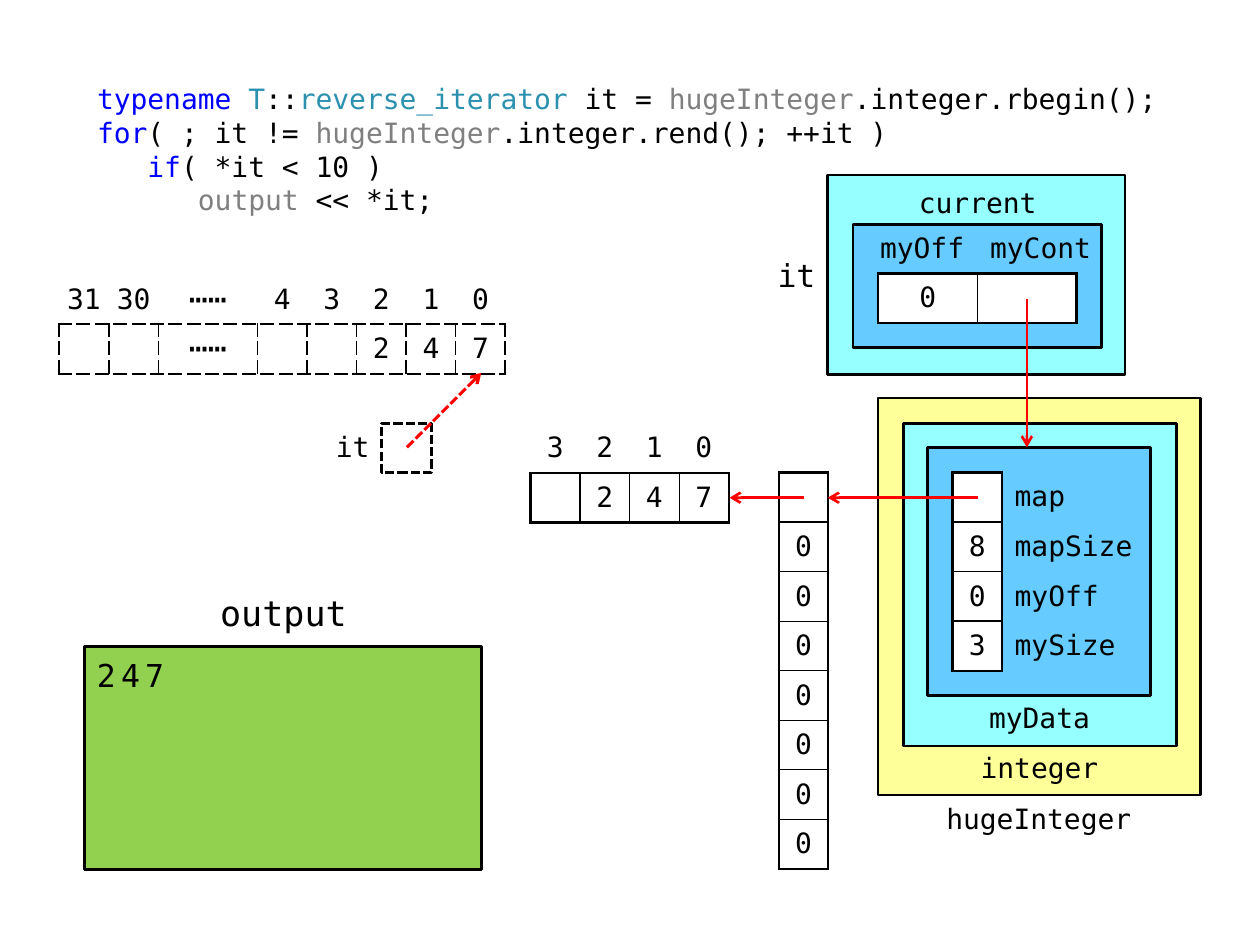
from dataclasses import dataclass
from typing import Optional

from lxml import etree
from pptx import Presentation
from pptx.dml.color import RGBColor
from pptx.enum.dml import MSO_LINE
from pptx.enum.shapes import MSO_CONNECTOR, MSO_SHAPE
from pptx.enum.text import MSO_ANCHOR, MSO_AUTO_SIZE, PP_ALIGN
from pptx.oxml.ns import qn
from pptx.util import Inches, Pt

FONT = "DejaVu Sans Mono"
BLACK = RGBColor(0, 0, 0)
WHITE = RGBColor(255, 255, 255)
RED = RGBColor(255, 0, 0)
YELLOW = RGBColor(0xFF, 0xFF, 0x99)
CYAN = RGBColor(0x96, 0xFF, 0xFF)
SKY = RGBColor(0x66, 0xCC, 0xFF)
GREEN = RGBColor(0x92, 0xD0, 0x50)
KEYWORD = RGBColor(0, 0, 255)
TYPE_NAME = RGBColor(0x2B, 0x91, 0xAF)
VARIABLE = RGBColor(0x80, 0x80, 0x80)

LEFT, CENTER, RIGHT = PP_ALIGN.LEFT, PP_ALIGN.CENTER, PP_ALIGN.RIGHT
TOP, MIDDLE, BOTTOM = MSO_ANCHOR.TOP, MSO_ANCHOR.MIDDLE, MSO_ANCHOR.BOTTOM
PROCESS, SQUARE = MSO_SHAPE.FLOWCHART_PROCESS, MSO_SHAPE.RECTANGLE
DASH = MSO_LINE.SQUARE_DOT
CELL = 1 / 2.54  # side of one memory cell, in inches
NO_GRID_STYLE = "{2D5ABB26-0587-4C30-8999-92F81FD0307C}"
DOTS = "⋯⋯"


@dataclass
class Label:
    text: str
    left: float
    top: float
    width: float
    align: PP_ALIGN = CENTER
    anchor: MSO_ANCHOR = TOP
    size: int = 16
    height: float = CELL
    margins: tuple = (0.08, 0.04, 0.08, 0)


@dataclass
class Memory:
    """A table whose boxed cells start at the given row and end at the given column."""
    left: float
    top: float
    rows: list
    widths: list  # in cells
    inner: float = 0.75
    first_boxed_row: int = 0
    boxed_columns: int = 8
    fill: Optional[RGBColor] = WHITE
    dash: str = "solid"

    def boxed(self, row: int, column: int) -> bool:
        return (self.first_boxed_row <= row < len(self.rows)
                and 0 <= column < min(self.boxed_columns, len(self.widths)))


# Code lines as (text, colour) pieces
CODE = [
    [("typename ", KEYWORD), ("T", TYPE_NAME), ("::", BLACK), ("reverse_iterator ", TYPE_NAME),
     ("it = ", BLACK), ("hugeInteger", VARIABLE), (".integer.rbegin();", BLACK)],
    [("for", KEYWORD), ("( ; it != ", BLACK), ("hugeInteger", VARIABLE),
     (".integer.rend(); ++it )", BLACK)],
    [("   ", BLACK), ("if", KEYWORD), ("( *it < 10 )", BLACK)],
    [("      ", BLACK), ("output ", VARIABLE), ("<< *it;", BLACK)],
]


def style_run(run, size: int, color: RGBColor = BLACK, spacing: float = 0) -> None:
    run.font.name, run.font.size = FONT, Pt(size)
    run.font.color.rgb = color
    if spacing:
        run._r.get_or_add_rPr().set("spc", str(int(spacing * 100)))


def set_margins(target, margins: tuple) -> None:
    (target.margin_left, target.margin_top,
     target.margin_right, target.margin_bottom) = map(Inches, margins)


def add_box(slide, left, top, width, height, fill, kind=PROCESS, weight=1.5):
    box = slide.shapes.add_shape(kind, *map(Inches, (left, top, width, height)))
    box.shadow.inherit = False
    box.fill.solid()
    box.fill.fore_color.rgb = fill
    box.line.color.rgb, box.line.width = BLACK, Pt(weight)
    return box


def add_label(slide, label: Label) -> None:
    box = slide.shapes.add_textbox(
        *map(Inches, (label.left, label.top, label.width, label.height)))
    frame = box.text_frame
    frame.word_wrap, frame.vertical_anchor = True, label.anchor
    set_margins(frame, label.margins)
    frame.text = label.text
    frame.paragraphs[0].alignment = label.align
    style_run(frame.paragraphs[0].runs[0], label.size)


def add_arrow(slide, start: tuple, end: tuple, weight=1.5, dash=None) -> None:
    arrow = slide.shapes.add_connector(MSO_CONNECTOR.STRAIGHT, *map(Inches, start + end))
    arrow.line.color.rgb, arrow.line.width = RED, Pt(weight)
    if dash:
        arrow.line.dash_style = dash
    etree.SubElement(arrow.line._get_or_add_ln(), qn("a:tailEnd"), type="arrow")
    etree.SubElement(arrow._element.spPr, qn("a:effectLst"))


def add_border(cell, side: str, weight: float, dash: str) -> None:
    line = etree.SubElement(cell._tc.get_or_add_tcPr(), qn(f"a:ln{side}"), w=str(Pt(weight)))
    if not weight:
        etree.SubElement(line, qn("a:noFill"))
        return
    paint = etree.SubElement(line, qn("a:solidFill"))
    etree.SubElement(paint, qn("a:srgbClr"), val=str(BLACK))
    etree.SubElement(line, qn("a:prstDash"), val=dash)


def add_memory(slide, memory: Memory) -> None:
    rows, widths = memory.rows, memory.widths
    frame = slide.shapes.add_table(
        len(rows), len(widths), Inches(memory.left), Inches(memory.top),
        Inches(sum(widths) * CELL), Inches(len(rows) * CELL))
    table = frame.table
    table.first_row = table.horz_banding = False
    table._tbl.tblPr.find(qn("a:tableStyleId")).text = NO_GRID_STYLE
    for column, width in zip(table.columns, widths):
        column.width = Inches(width * CELL)
    for r, texts in enumerate(rows):
        table.rows[r].height = Inches(CELL)
        for c, text in enumerate(texts):
            cell, boxed = table.cell(r, c), memory.boxed(r, c)
            beside_values = c >= memory.boxed_columns
            set_margins(cell, (0.1 if beside_values else 0.04, 0.04, 0.04, 0.04))
            cell.vertical_anchor = MIDDLE
            # Thick edge around the boxed cells, thin edge between them
            for side, dr, dc in (("L", 0, -1), ("R", 0, 1), ("T", -1, 0), ("B", 1, 0)):
                count = boxed + memory.boxed(r + dr, c + dc)
                add_border(cell, side, (0, 1.5, memory.inner)[count], memory.dash)
            if boxed and memory.fill is not None:
                cell.fill.solid()
                cell.fill.fore_color.rgb = memory.fill
            else:
                cell.fill.background()
            cell.text = text
            paragraph = cell.text_frame.paragraphs[0]
            paragraph.alignment = LEFT if beside_values else CENTER
            for run in paragraph.runs:
                style_run(run, 18 if text == DOTS else 16)


def add_code(slide) -> None:
    slide.shapes.title._element.getparent().remove(slide.shapes.title._element)
    code = slide.placeholders[1]
    code.left, code.top, code.width, code.height = map(Inches, (0.67, 0.6, 8.66, 1.18))
    frame = code.text_frame
    frame.auto_size, frame.vertical_anchor = MSO_AUTO_SIZE.NONE, TOP
    set_margins(frame, (0.1, 0.05, 0.1, 0.05))
    for index, pieces in enumerate(CODE):
        paragraph = frame.add_paragraph() if index else frame.paragraphs[0]
        properties = paragraph._p.get_or_add_pPr()
        properties.set("marL", "0")
        properties.set("indent", "0")
        etree.SubElement(properties, qn("a:buNone"))
        paragraph.space_before, paragraph.line_spacing = Pt(0), Pt(19.2)
        for text, color in pieces:
            run = paragraph.add_run()
            run.text = text
            style_run(run, 16, color)


def main() -> None:
    deck = Presentation()
    deck.slide_width, deck.slide_height = Inches(10), Inches(7.5)
    slide = deck.slides.add_slide(deck.slide_layouts[1])
    add_code(slide)

    # Nested objects: hugeInteger on the right, the iterator above it
    for box in ((6.97, 3.16, 2.56, 3.15, YELLOW), (7.17, 3.36, 2.17, 2.56, CYAN),
                (7.36, 3.55, 1.77, 1.97, SKY), (6.57, 1.39, 2.36, 1.58, CYAN),
                (6.77, 1.78, 1.97, 0.98, SKY)):
        add_box(slide, *box)

    # Output console
    console = add_box(slide, 0.67, 5.13, 3.15, 1.77, GREEN).text_frame
    console.vertical_anchor = TOP
    set_margins(console, (0.1, 0.08, 0.1, 0.05))
    console.text = "247"
    console.paragraphs[0].alignment = LEFT
    style_run(console.paragraphs[0].runs[0], 18, spacing=3)

    # Iterator of the conceptual view
    add_box(slide, 3.03, 3.36, CELL, CELL, WHITE, SQUARE, 1.75).line.dash_style = DASH

    # Memory cells: block map, data members, iterator members, conceptual and real digits
    for memory in (
        Memory(6.18, 3.75, [[""]] + [["0"]] * 7, [1], fill=None),
        Memory(7.56, 3.75, [["", "map"], ["8", "mapSize"], ["0", "myOff"], ["3", "mySize"]],
               [1, 3], inner=1, boxed_columns=1),
        Memory(6.97, 2.17, [["0", ""]], [2, 2]),
        Memory(0.47, 2.18, [["31", "30", DOTS, "4", "3", "2", "1", "0"],
                            ["", "", DOTS, "", "", "2", "4", "7"]],
               [1, 1, 2, 1, 1, 1, 1, 1], inner=1, first_boxed_row=1, dash="sysDash"),
        Memory(4.21, 3.36, [["3", "2", "1", "0"], ["", "2", "4", "7"]], [1] * 4,
               first_boxed_row=1),
    ):
        add_memory(slide, memory)

    for label in (
        Label("it", 5.98, 1.98, 0.59, RIGHT, BOTTOM, 18, margins=(0.1, 0.05, 0.1, 0.04)),
        Label("current", 7.17, 1.39, 1.18, anchor=MIDDLE),
        Label("output", 1.46, 4.54, 1.58, CENTER, MIDDLE, 20, 0.59, (0.08, 0.05, 0.08, 0)),
        Label("myData", 7.76, 5.52, 0.98),
        Label("myCont", 7.76, 1.78, 0.98, LEFT, margins=(0.1, 0.05, 0.05, 0.05)),
        Label("myOff", 6.77, 1.78, 0.98, RIGHT, margins=(0.1, 0.05, 0.1, 0.05)),
        Label("integer", 7.56, 5.92, 1.38),
        Label("hugeInteger", 7.36, 6.31, 1.77, margins=(0.08, 0.05, 0.08, 0.04)),
        Label("it", 2.44, 3.36, 0.59, RIGHT, margins=(0.1, 0.05, 0.1, 0.05)),
    ):
        add_label(slide, label)

    # Pointers
    add_arrow(slide, (6.38, 3.95), (5.79, 3.95))
    add_arrow(slide, (7.76, 3.95), (6.57, 3.95))
    add_arrow(slide, (8.15, 2.37), (8.15, 3.55))
    add_arrow(slide, (3.23, 3.55), (3.82, 2.96), 1.75, DASH)
    deck.save("out.pptx")


if __name__ == "__main__":
    main()
